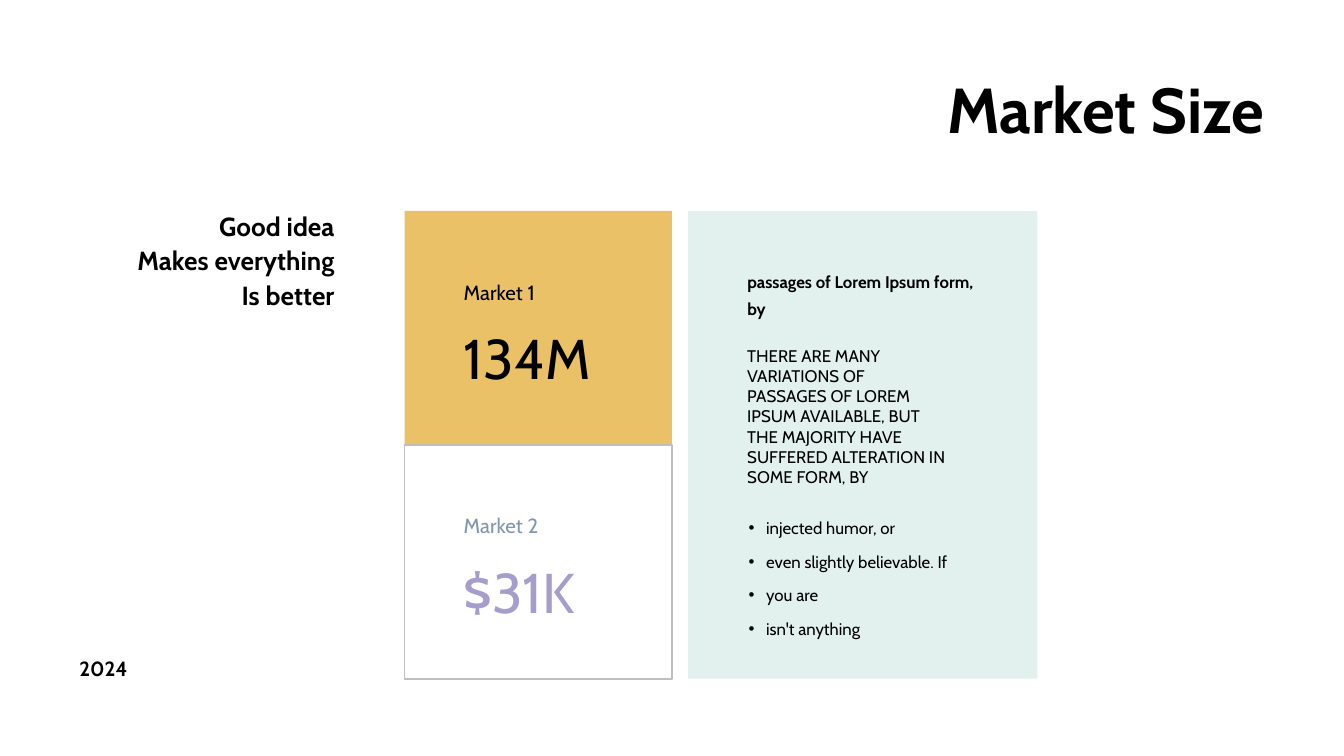
"""Build the market size slide."""
from dataclasses import dataclass

import pptx
import pptx.dml.color
import pptx.enum.shapes
import pptx.enum.text
import pptx.oxml.ns
import pptx.shapes.base
import pptx.slide
import pptx.text.text
import pptx.util
from lxml import etree

Inches = pptx.util.Inches
Align = pptx.enum.text.PP_ALIGN


@dataclass(frozen=True)
class Theme:
    """Hold the font, colours and type sizes."""
    font: str = "Cabin"
    black: str = "000000"
    gold: str = "EAC167"
    mint: str = "9DD0C2"
    gray: str = "BFBFBF"
    slate: str = "8296B0"
    lilac: str = "A69DCC"
    head: int = 34
    figure: int = 30
    motto: int = 14
    label: int = 11
    small: int = 9


THEME = Theme()


@dataclass(frozen=True)
class Box:
    """Give a place on the slide in inches."""
    left: float
    top: float
    width: float
    height: float

    def place(self) -> tuple[int, ...]:
        """Return the place as lengths."""
        return tuple(Inches(n) for n in (self.left, self.top, self.width, self.height))


@dataclass(frozen=True)
class Style:
    """Describe how a text is set."""
    size: int
    color: str = THEME.black
    bold: bool = False
    align: Align = Align.LEFT
    lead: float = 1.0
    bullet: bool = False


@dataclass(frozen=True)
class Text:
    """Pair lines of text with a place and a style."""
    box: Box
    lines: tuple[str, ...]
    style: Style


@dataclass(frozen=True)
class Panel:
    """Describe a plain rectangle."""
    box: Box
    fill: str | None = None
    alpha: int = 100
    line: str | None = None


@dataclass(frozen=True)
class Market:
    """Describe one market card."""
    name: str
    value: str
    tint: str
    shade: str
    fill: str | None = None
    line: str | None = None


TOP, CARD = 1.57, 1.74
MARKETS = (
    Market("Market 1", "134M", THEME.black, THEME.black, fill=THEME.gold),
    Market("Market 2", "$31K", THEME.slate, THEME.lilac, line=THEME.gray),
)
TITLE = Text(Box(2.35, 0.48, 7.13, 0.65), ("Market Size",),
             Style(THEME.head, bold=True, align=Align.RIGHT))
POINTS = Text(Box(5.49, 3.71, 1.83, 0.9),
              ("injected humor, or", "even slightly believable. If", "you are", "isn't anything"),
              Style(THEME.small, lead=1.67, bullet=True))
TEXTS = (
    Text(Box(0.61, 1.5, 1.95, 0.83), ("Good idea", "Makes everything", "Is better"),
         Style(THEME.motto, bold=True, align=Align.RIGHT, lead=1.1)),
    Text(Box(0.52, 4.84, 2.37, 0.25), ("2024",), Style(THEME.label, bold=True)),
    Text(Box(5.49, 2.53, 1.63, 1.14),
         ("THERE ARE MANY VARIATIONS OF PASSAGES OF LOREM IPSUM AVAILABLE, "
          "BUT THE MAJORITY HAVE SUFFERED ALTERATION IN SOME FORM, BY",),
         Style(THEME.small)),
    Text(Box(5.49, 1.93, 1.92, 0.41), ("passages of Lorem Ipsum form, by",),
         Style(THEME.small, bold=True, lead=1.33)),
)


def paint(code: str) -> pptx.dml.color.RGBColor:
    """Turn a hex code into a colour."""
    return pptx.dml.color.RGBColor.from_string(code)


def mark(para: pptx.text.text._Paragraph) -> None:
    """Give a paragraph a hanging bullet."""
    props = para._p.get_or_add_pPr()
    props.set("marL", str(Inches(0.14)))
    props.set("indent", str(Inches(-0.13)))
    hue = etree.SubElement(props, pptx.oxml.ns.qn("a:buClr"))
    etree.SubElement(hue, pptx.oxml.ns.qn("a:srgbClr"), val=THEME.black)
    etree.SubElement(props, pptx.oxml.ns.qn("a:buChar"), char="•")


def write(shape: pptx.shapes.base.BaseShape, text: Text) -> None:
    """Place a text shape and set its lines."""
    shape.left, shape.top, shape.width, shape.height = text.box.place()
    frame, style = shape.text_frame, text.style
    frame.text = "\n".join(text.lines)
    frame.word_wrap = True
    frame.auto_size = pptx.enum.text.MSO_AUTO_SIZE.NONE
    frame.vertical_anchor = pptx.enum.text.MSO_ANCHOR.TOP
    frame.margin_left = frame.margin_right = Inches(0.07)
    frame.margin_top = frame.margin_bottom = Inches(0.04)
    for para in frame.paragraphs:
        para.alignment = style.align
        para.line_spacing = style.lead
        para.space_before = pptx.util.Pt(0)
        if style.bullet:
            mark(para)
        para.font.name = THEME.font
        para.font.size = pptx.util.Pt(style.size)
        para.font.bold = style.bold
        para.font.color.rgb = paint(style.color)


def label(slide: pptx.slide.Slide, text: Text) -> None:
    """Add a text box."""
    write(slide.shapes.add_textbox(*text.box.place()), text)


def block(slide: pptx.slide.Slide, panel: Panel) -> None:
    """Add a rectangle."""
    kind = pptx.enum.shapes.MSO_SHAPE.RECTANGLE
    shape = slide.shapes.add_shape(kind, *panel.box.place())
    shape.shadow.inherit = False
    if panel.fill:
        shape.fill.solid()
        shape.fill.fore_color.rgb = paint(panel.fill)
        if panel.alpha < 100:
            hue = shape._element.spPr.find(".//" + pptx.oxml.ns.qn("a:srgbClr"))
            etree.SubElement(hue, pptx.oxml.ns.qn("a:alpha"), val=str(panel.alpha * 1000))
    else:
        shape.fill.background()
    if panel.line:
        shape.line.color.rgb = paint(panel.line)
        shape.line.width = pptx.util.Pt(1)
    else:
        shape.line.fill.background()


def card(slide: pptx.slide.Slide, market: Market, top: float) -> None:
    """Add a market card with its name and value."""
    block(slide, Panel(Box(3.01, top, 1.99, CARD), market.fill, line=market.line))
    label(slide, Text(Box(3.38, top + 0.47, 1.26, 0.25), (market.name,),
                      Style(THEME.label, market.tint)))
    label(slide, Text(Box(3.38, top + 0.8, 1.26, 0.47), (market.value,),
                      Style(THEME.figure, market.shade)))


def main() -> None:
    """Build and save the slide."""
    deck = pptx.Presentation()
    deck.slide_width = Inches(10)
    deck.slide_height = deck.slide_width * 9 // 16
    slide = deck.slides.add_slide(deck.slide_layouts[1])
    title, body = slide.shapes.title, slide.placeholders[1]
    block(slide, Panel(Box(5.12, TOP, 2.6, 2 * CARD), THEME.mint, alpha=28))
    for row, market in enumerate(MARKETS):
        card(slide, market, TOP + row * CARD)
    for text in TEXTS:
        label(slide, text)
    for shape, text in ((title, TITLE), (body, POINTS)):
        write(shape, text)
        slide.shapes._spTree.append(shape._element)
    deck.save("out.pptx")


if __name__ == "__main__":
    main()
